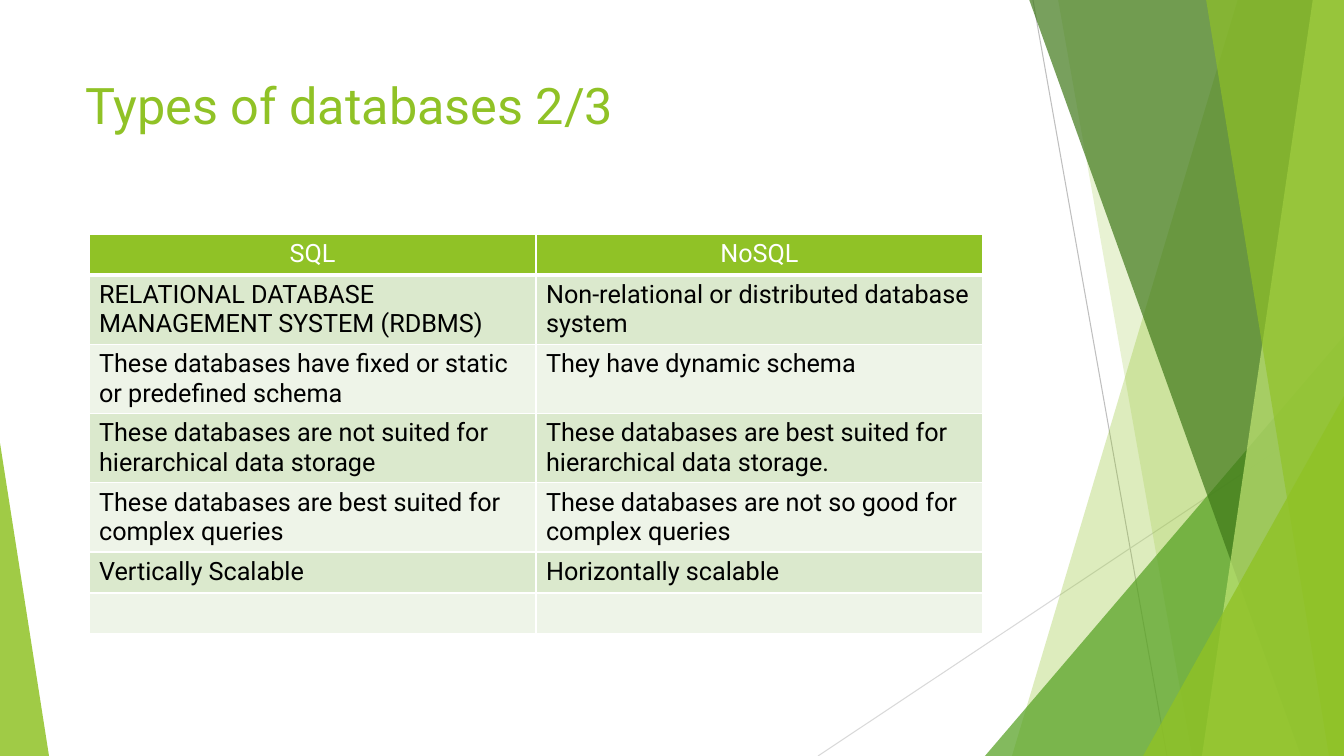
from lxml import etree
from pptx import Presentation
from pptx import util as u
from pptx.dml.color import RGBColor
from pptx.enum import shapes, text
from pptx.oxml.ns import qn

EMU_PER_PX = 914400 / 100.8
WIDTH, HEIGHT = 1344, 756
FONT = "Roboto"
GREEN, WHITE, BLACK = "90C226", "FFFFFF", "000000"
BAND_FILLS = ("EEF4E8", "DBE9CD")
COLUMN_WIDTH, ROW_HEIGHT = 447, 41

ROWS = [
    ("SQL", "NoSQL"),
    ("RELATIONAL DATABASE MANAGEMENT SYSTEM (RDBMS)",
     "Non-relational or distributed database system"),
    ("These databases have fixed or static or predefined schema",
     "They have dynamic schema"),
    ("These databases are not suited for hierarchical data storage",
     "These databases are best suited for hierarchical data storage."),
    ("These databases are best suited for complex queries",
     "These databases are not so good for complex queries"),
    ("Vertically Scalable", "Horizontally scalable"),
    ("", ""),
]


def px(length):
    return u.Emu(round(length * EMU_PER_PX))


def color(value):
    return RGBColor.from_string(value)


def paint(shape, fill, opacity):
    """Fill a shape with a see-through colour, without outline or shadow."""
    shape.shadow.inherit = False
    shape.line.fill.background()
    shape.fill.solid()
    shape.fill.fore_color.rgb = color(fill)
    rgb = shape.fill._xPr.find(f"{qn('a:solidFill')}/{qn('a:srgbClr')}")
    etree.SubElement(rgb, qn("a:alpha"), val=str(opacity * 1000))


def add_ribbon(slide, top_x, bottom_x, fill, opacity):
    """Add an area from a slanted left edge to the right edge of the slide."""
    builder = slide.shapes.build_freeform(top_x, -1, scale=EMU_PER_PX)
    builder.add_line_segments([(WIDTH, -1), (WIDTH, HEIGHT), (bottom_x, HEIGHT)])
    paint(builder.convert_to_shape(), fill, opacity)


def add_corner(slide, left, top, width, apex, fill, opacity):
    """Add a triangle that stands on the bottom edge of the slide."""
    triangle = slide.shapes.add_shape(
        shapes.MSO_SHAPE.ISOSCELES_TRIANGLE,
        px(left), px(top), px(width), px(HEIGHT - top))
    triangle.adjustments[0] = apex
    paint(triangle, fill, opacity)


def add_line(slide, start, end, stroke):
    line = slide.shapes.add_connector(
        shapes.MSO_CONNECTOR.STRAIGHT, *map(px, start + end))
    line.line.color.rgb = color(stroke)
    line.line.width = u.Pt(0.75)
    etree.SubElement(line.element.spPr, qn("a:effectLst"))


def add_decoration(slide):
    add_line(slide, (1033, 0), (1167, HEIGHT), "BFBFBF")
    add_line(slide, (WIDTH, 406), (818, HEIGHT), "D9D9D9")
    add_ribbon(slide, 1238, 1012, GREEN, 30)
    add_ribbon(slide, 1058, 1192, GREEN, 20)
    add_corner(slide, 985, 336, 359, 1, "54A021", 72)
    add_ribbon(slide, 1029, 1301, "3F7819", 70)
    add_ribbon(slide, 1313, 1202, "C0E474", 70)
    add_ribbon(slide, 1206, 1329, GREEN, 65)
    add_corner(slide, 1143, 396, 201, 1, GREEN, 80)
    add_corner(slide, 0, 443, 49, 0, GREEN, 85)


def format_text(paragraph, size, ink, alignment):
    paragraph.alignment = alignment
    for run in paragraph.runs:
        run.font.name = FONT
        run.font.size = u.Pt(size)
        run.font.bold = False
        run.font.color.rgb = color(ink)


def set_title(slide, wording):
    title = slide.shapes.title
    title.left, title.top, title.width, title.height = map(px, (75, 68, 948, 72))
    title.text_frame.text = wording
    title.text_frame.vertical_anchor = text.MSO_ANCHOR.MIDDLE
    format_text(title.text_frame.paragraphs[0], 36, GREEN, text.PP_ALIGN.LEFT)
    title.element.getparent().append(title.element)  # in front of the decoration


def set_borders(cell, bottom_width):
    properties = cell._tc.get_or_add_tcPr()
    for side, width in (("L", 1), ("R", 1), ("T", 1), ("B", bottom_width)):
        border = etree.SubElement(properties, qn(f"a:ln{side}"), w=str(u.Pt(width)))
        fill = etree.SubElement(border, qn("a:solidFill"))
        etree.SubElement(fill, qn("a:srgbClr"), val=WHITE)


def fill_cell(cell, wording, fill, ink, alignment, bottom_width):
    cell.text_frame.text = wording
    format_text(cell.text_frame.paragraphs[0], 18, ink, alignment)
    set_borders(cell, bottom_width)
    cell.fill.solid()
    cell.fill.fore_color.rgb = color(fill)


def add_comparison(slide, rows):
    columns = len(rows[0])
    frame = slide.shapes.add_table(
        len(rows), columns, px(89), px(234), px(columns * COLUMN_WIDTH), px(405))
    table = frame.table
    for row_index, row in enumerate(rows):
        table.rows[row_index].height = px(ROW_HEIGHT)
        if row_index == 0:
            style = (GREEN, WHITE, text.PP_ALIGN.CENTER, 3)
        else:
            style = (BAND_FILLS[row_index % 2], BLACK, text.PP_ALIGN.LEFT, 1)
        for column_index, wording in enumerate(row):
            fill_cell(table.cell(row_index, column_index), wording, *style)


def main():
    presentation = Presentation()
    presentation.slide_width, presentation.slide_height = px(WIDTH), px(HEIGHT)
    title_only = presentation.slide_layouts[5]
    slide = presentation.slides.add_slide(title_only)
    add_decoration(slide)
    set_title(slide, "Types of databases 2/3")
    add_comparison(slide, ROWS)
    presentation.save("out.pptx")


if __name__ == "__main__":
    main()
